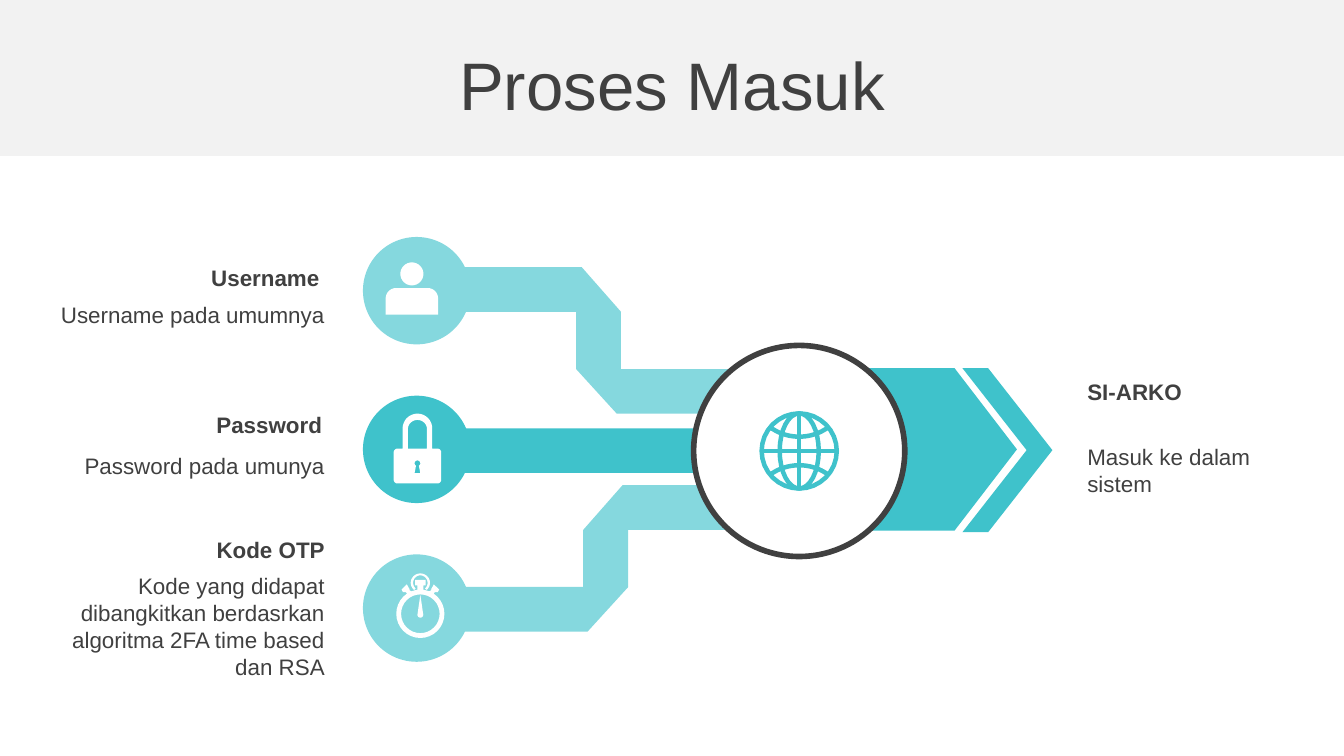
from math import cos, radians, sin

from pptx import Presentation
from pptx.dml.color import RGBColor
from pptx.enum.shapes import MSO_SHAPE
from pptx.enum.text import MSO_ANCHOR, MSO_AUTO_SIZE, PP_ALIGN
from pptx.util import Cm, Pt

RECT, OVAL = MSO_SHAPE.RECTANGLE, MSO_SHAPE.OVAL
PLATE, CHEVRON = MSO_SHAPE.PENTAGON, MSO_SHAPE.CHEVRON
LEFT, CENTER, RIGHT = PP_ALIGN.LEFT, PP_ALIGN.CENTER, PP_ALIGN.RIGHT
MIDDLE, FIXED = MSO_ANCHOR.MIDDLE, MSO_AUTO_SIZE.NONE

COLORS = {"band": "F2F2F2", "ink": "404040", "pale": "85D8DE",
          "teal": "3FC2CB", "white": "FFFFFF"}
FORMATS = {
    "title": {"name": "Arial", "size": Pt(36), "bold": False},
    "head": {"name": "Arial", "size": Pt(12), "bold": True},
    "body": {"name": "Arial", "size": Pt(12), "bold": False},
}


def tone(key):
    """Return the named colour."""
    return RGBColor.from_string(COLORS[key])


def paint(shape, fill=None, line=None, width=3):
    """Set the fill and outline of a shape; None means empty."""
    shape.shadow.inherit = False
    for part, key in ((shape.fill, fill), (shape.line.fill, line)):
        if key:
            part.solid()
            part.fore_color.rgb = tone(key)
        else:
            part.background()
    if line:
        shape.line.width = Pt(width)
    return shape


def block(shapes, kind, box, fill, line=None):
    """Add a painted preset shape."""
    return paint(shapes.add_shape(kind, *map(Cm, box)), fill, line)


def draw(shapes, box, paths, fill=None, line=None, width=3):
    """Add one freeform whose points are percentages of the box."""
    left, top, wide, high = box
    tracks = [[((left + x * wide / 100) * 1000, (top + y * high / 100) * 1000)
               for x, y in path] for path in paths]
    pen = shapes.build_freeform(*tracks[0][0], scale=Cm(1) / 1000)
    for num, track in enumerate(tracks):
        if num:
            pen.move_to(*track[0])
        pen.add_line_segments(track[1:], close=bool(fill))
    return paint(pen.convert_to_shape(), fill, line, width)


def arc(x, y, wide, high, start=0, end=360, steps=32):
    """Return points along an elliptic arc, clockwise from the right."""
    turns = [radians(start + (end - start) * i / steps) for i in range(steps + 1)]
    return [(x + wide * cos(a), y + high * sin(a)) for a in turns]


def write(shape, text, style, align):
    """Put formatted text in a shape."""
    frame = shape.text_frame
    frame.word_wrap = True
    frame.auto_size = FIXED
    frame.vertical_anchor = MIDDLE
    para = frame.paragraphs[0]
    para.text = text
    para.alignment = align
    for key, value in FORMATS[style].items():
        setattr(para.font, key, value)
    para.font.color.rgb = tone("ink")


def label(shapes, box, text, style, align):
    """Add a text box."""
    write(shapes.add_textbox(*map(Cm, box)), text, style, align)


def header(slide, box, text):
    """Place the band and the title on it."""
    left, top, wide, high = box
    title = slide.shapes.title
    band = block(slide.shapes, RECT, box, "band")
    title._element.addprevious(band._element)
    place = {"left": left, "top": top + 0.79, "width": wide, "height": 1.6}
    for key, value in place.items():
        setattr(title, key, Cm(value))
    write(title, text, "title", CENTER)


def pipe(shapes, box, rising=False):
    """Place a bent pipe that falls, or rises, to the right."""
    elbows = [[(0, 0), (41.5, 0), (55.5, 30.5), (0, 30.5)],
              [(39.5, 69.5), (100, 69.5), (100, 100), (54, 100)]]
    for elbow in elbows:
        path = [(100 - x if rising else x, y) for x, y in elbow]
        draw(shapes, box, [path], "pale")
    left, top, wide, high = box
    start = 44.5 if rising else 39.5
    stem = (left + start * wide / 100, top + 0.305 * high, 0.16 * wide, 0.39 * high)
    block(shapes, RECT, stem, "pale")


def person(shapes, box):
    """Place the user icon."""
    body = arc(20, 69, 20, 20, 180, 270) + arc(80, 69, 20, 20, 270, 360)
    draw(shapes, box, [body + [(100, 100), (0, 100)], arc(50, 22, 22, 22)], "white")


def lock(shapes, box):
    """Place the padlock icon."""
    rim = arc(50, 21, 31, 21, 180, 360) + [(81, 50)]
    for x, y, turn in ((92, 56, 270), (92, 94, 0), (8, 94, 90), (8, 56, 180)):
        rim += arc(x, y, 8, 6, turn, turn + 90, 8)
    hole = arc(50, 22, 20, 13, 180, 360) + [(70, 50), (30, 50)]
    key = arc(50, 71, 6, 4, 120, 420) + [(56, 85), (44, 85)]
    draw(shapes, box, [rim + [(19, 50)], hole, key], "white")


def watch(shapes, box):
    """Place the stopwatch icon."""
    lug = [(11, 25), (22, 17), (28, 25), (25, 25), (31, 27.5), (22, 31),
           (20, 29), (14, 29)]
    crown = [(39, 10), (61, 10), (61, 18.5), (56, 18.5), (56, 25), (44, 25),
             (44, 18.5), (39, 18.5)]
    loop = arc(50, 14.5, 20, 14.5, 130, 410) + arc(50, 14.5, 15, 11.5, 410, 130)
    needle = [(50, 33)] + arc(50, 64, 6, 4.5, 0, 180)
    draw(shapes, box, [arc(50, 62.5, 50, 37.5), arc(50, 62.5, 40, 30), needle,
                       crown, loop, lug, [(100 - x, y) for x, y in lug]], "white")


def globe(shapes, box):
    """Place the globe icon."""
    draw(shapes, box, [arc(50, 50, 50, 50), arc(50, 50, 26, 50),
                       [(0, 50), (100, 50)], [(50, 0), (50, 100)],
                       arc(50, -35, 66, 66, 55, 125),
                       arc(50, 135, 66, 66, 235, 305)], line="teal", width=2.4)


def step(shapes, box, fill, head, body, icon):
    """Place one input: its disc, icon, heading and note."""
    left, top, wide, high = box
    disc = left + wide - high
    block(shapes, OVAL, (disc, top, high, high), fill)
    for style, (text, x, y, tall) in (("head", head), ("body", body)):
        label(shapes, (left + x, top + y, 5.9, tall), text, style, RIGHT)
    sign, x, y, size, tall = icon
    sign(shapes, (disc + x, top + y, size, tall))


def hub(shapes, box):
    """Place the straight bar, the arrow, the ring and the globe."""
    left, top, wide, high = box
    plate = block(shapes, PLATE, (left + 2.99, top + 0.43, 3.12, 3.07), "teal")
    plate.adjustments[0] = 0.384
    block(shapes, RECT, (left - 4.4, top + 1.57, 5.36, 0.84), "teal")
    block(shapes, OVAL, box, "white", "ink")
    tip = block(shapes, CHEVRON, (left + 5.08, top + 0.43, 1.7, 3.1), "teal")
    tip.adjustments[0] = 0.714
    size = 1.42
    globe(shapes, (left + (wide - size) / 2, top + (high - size) / 2, size, size))


def result(shapes, box, head, body):
    """Place the text of the outcome."""
    left, top, wide, high = box
    label(shapes, (left, top, wide, 0.76), head, "head", LEFT)
    label(shapes, (left, top + high - 1.27, wide, 1.27), body, "body", LEFT)


def main():
    """Build and save the slide."""
    deck = Presentation()
    deck.slide_width, deck.slide_height = Cm(25.4), Cm(14.29)
    slide = deck.slides.add_slide(deck.slide_layouts[5])
    shapes = slide.shapes
    header(slide, (0, 0, 25.4, 2.95), "Proses Masuk")
    pipe(shapes, (8.79, 5.05, 5.31, 2.77))
    pipe(shapes, (8.66, 9.17, 5.31, 2.77), rising=True)
    steps = [
        ("pale", ("Username", -0.1, 0.38, 0.76),
         ("Username pada umumnya", 0, 1.09, 0.76), (person, 0.43, 0.48, 0.99, 0.99)),
        ("teal", ("Password", -0.05, 0.17, 0.76),
         ("Password pada umunya", 0, 0.95, 0.76), (lock, 0.58, 0.34, 0.9, 1.32)),
        ("pale", ("Kode OTP", 0, -0.48, 0.76),
         ("Kode yang didapat dibangkitkan berdasrkan algoritma 2FA time based "
          "dan RSA", 0, 0.2, 2.31), (watch, 0.63, 0.36, 0.91, 1.22)),
    ]
    for num, parts in enumerate(steps):
        step(shapes, (0.49, 4.48 + 3 * num, 8.4, 2.03), *parts)
    hub(shapes, (13.11, 6.53, 3.99, 3.99))
    result(shapes, (20.3, 7.03, 4.19, 2.49), "SI-ARKO", "Masuk ke dalam sistem")
    deck.save("out.pptx")


if __name__ == "__main__":
    main()
